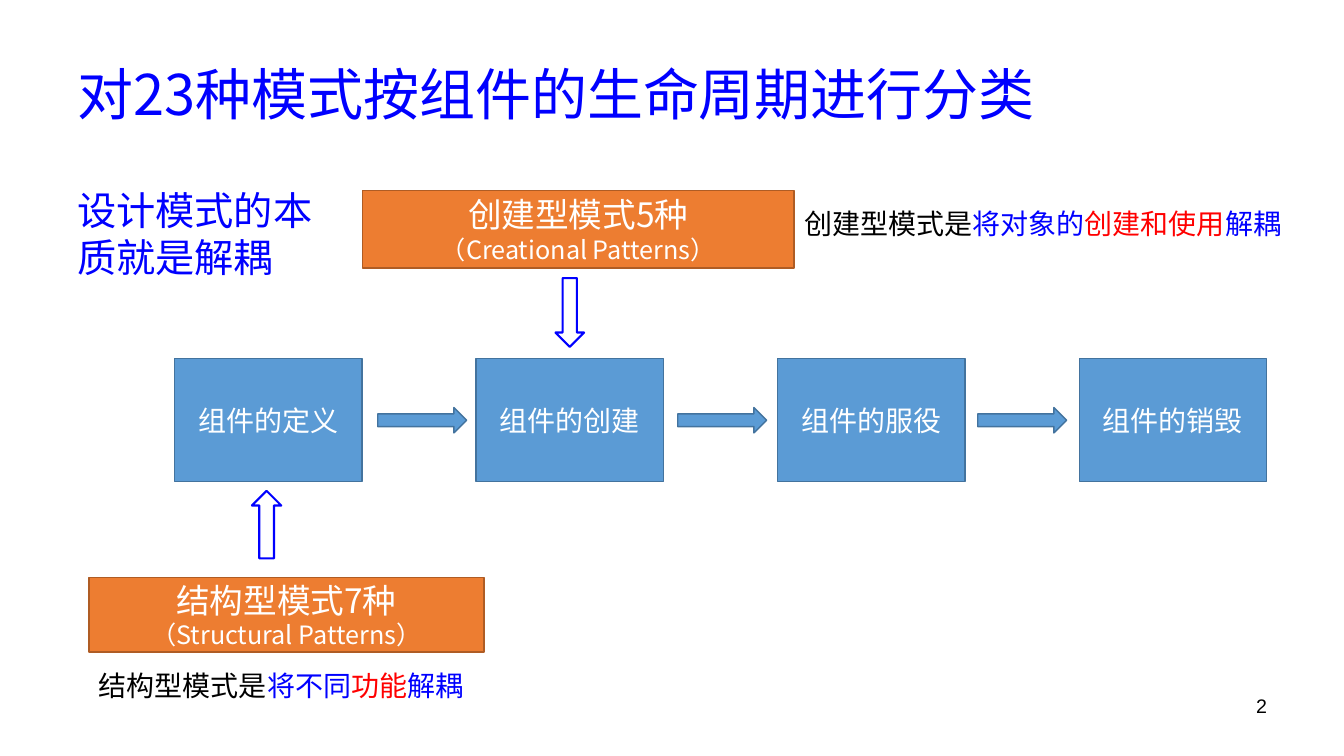
from dataclasses import dataclass

from lxml.etree import SubElement
from pptx import Presentation
from pptx.dml.color import RGBColor
from pptx.enum.shapes import MSO_SHAPE
from pptx.enum.text import MSO_ANCHOR, PP_ALIGN
from pptx.oxml.ns import qn
from pptx.util import Cm, Pt


@dataclass(frozen=True)
class Theme:
    font: str = "Noto Sans CJK SC"
    number_font: str = "Arial"
    black: str = "000000"
    white: str = "FFFFFF"
    blue: str = "0000FF"
    red: str = "FF0000"
    stage: str = "5B9BD5"
    stage_line: str = "43739E"
    pattern: str = "ED7D31"
    pattern_line: str = "AF5C24"
    title_size: int = 40
    claim_size: int = 28
    heading_size: int = 24
    body_size: int = 20
    english_size: int = 18
    number_size: int = 14


THEME = Theme()

TITLE = "对23种模式按组件的生命周期进行分类"
CLAIM = "设计模式的本质就是解耦"
PAGE_NUMBER = "2"
STAGES = ["组件的定义", "组件的创建", "组件的服役", "组件的销毁"]

# Boxes are (left, top, width, height) in centimetres.
PATTERNS = [
    {
        "lines": ("创建型模式5种", "（Creational Patterns）"),
        "box": (9.14, 4.8, 10.87, 1.96),
        "arrow": (MSO_SHAPE.DOWN_ARROW, (14, 7.01, 0.72, 1.73)),
        "note": ("创建型模式是", "将对象的", "创建和使用", "解耦"),
        "note_box": (20.02, 5.08, 12.6, 1.12),
    },
    {
        "lines": ("结构型模式7种", "（Structural Patterns）"),
        "box": (2.24, 14.55, 9.96, 1.88),
        "arrow": (MSO_SHAPE.UP_ARROW, (6.35, 12.37, 0.74, 1.7)),
        "note": ("结构型模式是", "将不同", "功能", "解耦"),
        "note_box": (2.24, 16.71, 11.63, 1.12),
    },
]
NOTE_COLORS = (THEME.black, THEME.blue, THEME.red, THEME.blue)

TITLE_BOX = (1.7, 0.76, 30.48, 3.18)
CLAIM_BOX = (1.7, 4.57, 7.29, 2.64)
NUMBER_BOX = (24.28, 17.35, 7.9, 1.32)
STAGE_LEFT, STAGE_TOP, STAGE_PITCH = 4.4, 9.04, 7.6
STAGE_WIDTH, STAGE_HEIGHT = 4.72, 3.1
FLOW_LEFT, FLOW_PITCH = 9.52, 7.56
FLOW_WIDTH, FLOW_HEIGHT = 2.24, 0.64


def centimetres(box):
    return [Cm(value) for value in box]


def write(shape, paragraphs, align=PP_ALIGN.LEFT, anchor=MSO_ANCHOR.TOP, font=THEME.font):
    """Fill a shape with paragraphs, each a list of (text, size, color) runs."""
    frame = shape.text_frame
    frame.word_wrap = True
    frame.vertical_anchor = anchor
    for index, runs in enumerate(paragraphs):
        paragraph = frame.add_paragraph() if index else frame.paragraphs[0]
        paragraph.alignment = align
        for text, size, color in runs:
            run = paragraph.add_run()
            run.text = text
            run.font.color.rgb = RGBColor.from_string(color)
            for name, value in {"name": font, "size": Pt(size)}.items():
                setattr(run.font, name, value)
            SubElement(run.font._element, qn("a:ea"), typeface=font)


def add_text(slide, box, runs, **options):
    write(slide.shapes.add_textbox(*centimetres(box)), [runs], **options)


def add_block(slide, kind, box, line, fill=None, line_width=1):
    shape = slide.shapes.add_shape(kind, *centimetres(box))
    shape.shadow.inherit = False
    if fill:
        shape.fill.solid()
        shape.fill.fore_color.rgb = RGBColor.from_string(fill)
    else:
        shape.fill.background()
    shape.line.color.rgb = RGBColor.from_string(line)
    shape.line.width = Pt(line_width)
    return shape


def add_lifecycle(slide):
    centred = {"align": PP_ALIGN.CENTER, "anchor": MSO_ANCHOR.MIDDLE}
    flow_top = STAGE_TOP + (STAGE_HEIGHT - FLOW_HEIGHT) / 2
    for index, stage in enumerate(STAGES):
        box = (STAGE_LEFT + index * STAGE_PITCH, STAGE_TOP, STAGE_WIDTH, STAGE_HEIGHT)
        block = add_block(slide, MSO_SHAPE.RECTANGLE, box, THEME.stage_line, THEME.stage)
        write(block, [[(stage, THEME.body_size, THEME.white)]], **centred)
    for index in range(len(STAGES) - 1):
        box = (FLOW_LEFT + index * FLOW_PITCH, flow_top, FLOW_WIDTH, FLOW_HEIGHT)
        add_block(slide, MSO_SHAPE.RIGHT_ARROW, box, THEME.stage_line, THEME.stage)


def add_pattern(slide, pattern):
    block = add_block(
        slide, MSO_SHAPE.RECTANGLE, pattern["box"], THEME.pattern_line, THEME.pattern
    )
    sizes = (THEME.heading_size, THEME.english_size)
    lines = [[(text, size, THEME.white)] for text, size in zip(pattern["lines"], sizes)]
    write(block, lines, align=PP_ALIGN.CENTER, anchor=MSO_ANCHOR.MIDDLE)
    kind, box = pattern["arrow"]
    add_block(slide, kind, box, THEME.blue, line_width=1.5)
    note = [(text, THEME.body_size, color) for text, color in zip(pattern["note"], NOTE_COLORS)]
    add_text(slide, pattern["note_box"], note)


def main():
    presentation = Presentation()
    presentation.slide_width, presentation.slide_height = Cm(33.87), Cm(19.05)
    slide = presentation.slides.add_slide(presentation.slide_layouts[5])

    title = slide.shapes.title
    title.left, title.top, title.width, title.height = centimetres(TITLE_BOX)
    write(title, [[(TITLE, THEME.title_size, THEME.blue)]], anchor=MSO_ANCHOR.MIDDLE)

    add_lifecycle(slide)
    for pattern in PATTERNS:
        add_pattern(slide, pattern)
    add_text(slide, CLAIM_BOX, [(CLAIM, THEME.claim_size, THEME.blue)])
    add_text(
        slide, NUMBER_BOX, [(PAGE_NUMBER, THEME.number_size, THEME.black)],
        align=PP_ALIGN.RIGHT, font=THEME.number_font,
    )
    presentation.save("out.pptx")


if __name__ == "__main__":
    main()
